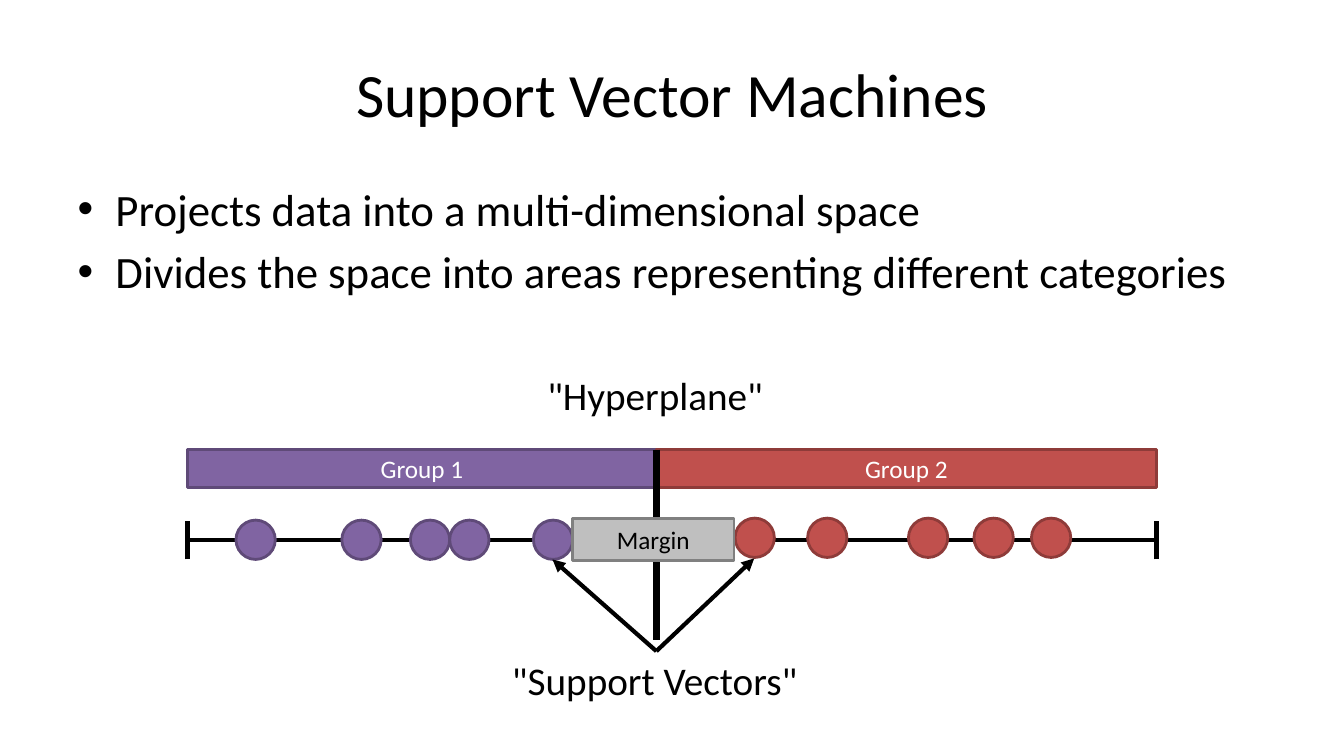
"""Build the Support Vector Machines slide with its one-dimensional diagram."""
from lxml import etree
from pptx import Presentation
from pptx.dml.color import RGBColor
from pptx.enum.shapes import MSO_CONNECTOR, MSO_SHAPE
from pptx.enum.text import MSO_ANCHOR, MSO_AUTO_SIZE, PP_ALIGN
from pptx.oxml.ns import qn
from pptx.util import Inches, Pt

RECTANGLE, OVAL = MSO_SHAPE.RECTANGLE, MSO_SHAPE.OVAL
STRAIGHT = MSO_CONNECTOR.STRAIGHT
CENTER, LEFT = PP_ALIGN.CENTER, PP_ALIGN.LEFT
TOP, MIDDLE = MSO_ANCHOR.TOP, MSO_ANCHOR.MIDDLE
NO_AUTOFIT = MSO_AUTO_SIZE.NONE

BLACK = RGBColor(0x00, 0x00, 0x00)
WHITE = RGBColor(0xFF, 0xFF, 0xFF)
PURPLE = RGBColor(0x80, 0x64, 0xA2)
DARK_PURPLE = RGBColor(0x5F, 0x4A, 0x78)
RED = RGBColor(0xC0, 0x50, 0x4D)
DARK_RED = RGBColor(0x8E, 0x3B, 0x39)
LIGHT_GRAY = RGBColor(0xBF, 0xBF, 0xBF)
GRAY = RGBColor(0x80, 0x80, 0x80)

AXIS_LEFT, HYPERPLANE_X, AXIS_RIGHT = 1.86, 6.51, 11.47
BAR_TOP, BAR_HEIGHT = 4.46, 0.38
AXIS_Y, TICK = 5.36, 0.19
DOT = 0.39
VECTORS_Y = 6.46

deck = Presentation()
deck.slide_width, deck.slide_height = Inches(13.33), Inches(7.5)
page = deck.slides.add_slide(deck.slide_layouts[1])


def add_block(kind, bounds, fill, outline, label="", ink=WHITE):
    block = page.shapes.add_shape(kind, *map(Inches, bounds))
    block.shadow.inherit = False
    block.fill.solid()
    block.fill.fore_color.rgb = fill
    block.line.color.rgb = outline
    block.line.width = Pt(2)
    if label:
        block.text_frame.vertical_anchor = MIDDLE
        para = block.text_frame.paragraphs[0]
        para.text, para.alignment = label, CENTER
        para.font.name, para.font.size = "Calibri", Pt(18)
        para.font.color.rgb = ink


def add_line(start, end, width=3, arrow=False):
    line = page.shapes.add_connector(STRAIGHT, *map(Inches, start + end))
    line.line.color.rgb = BLACK
    line.line.width = Pt(width)
    if arrow:
        etree.SubElement(line.line._get_or_add_ln(), qn("a:tailEnd"), type="triangle")
    etree.SubElement(line._element.spPr, qn("a:effectLst"))


placeholders = [
    (page.shapes.title, (0.67, 0.3, 12, 1.25), ["Support Vector Machines"], 44, CENTER, MIDDLE),
    (page.placeholders[1], (0.67, 1.75, 12, 1.53),
     ["Projects data into a multi-dimensional space",
      "Divides the space into areas representing different categories"], 32, LEFT, TOP),
]
for box, bounds, lines, size, alignment, anchor in placeholders:
    for name, value in zip(("left", "top", "width", "height"), bounds):
        setattr(box, name, Inches(value))
    box.text_frame.text = "\n".join(lines)
    box.text_frame.auto_size = NO_AUTOFIT
    box.text_frame.vertical_anchor = anchor
    for para in box.text_frame.paragraphs:
        para.alignment = alignment
        para.font.name, para.font.size = "Calibri", Pt(size)
        para.font.color.rgb = BLACK

groups = [
    ("Group 1", AXIS_LEFT, HYPERPLANE_X, PURPLE, DARK_PURPLE, 5.16,
     [5.29, 2.34, 3.39, 4.07, 4.46]),
    ("Group 2", HYPERPLANE_X, AXIS_RIGHT, RED, DARK_RED, 5.14,
     [7.29, 8.01, 9.01, 9.66, 10.23]),
]
add_line((AXIS_LEFT, AXIS_Y), (AXIS_RIGHT, AXIS_Y))
for tick_x in (AXIS_LEFT, AXIS_RIGHT):
    add_line((tick_x, AXIS_Y + TICK), (tick_x, AXIS_Y - TICK))
for label, start, end, fill, outline, dot_top, dots in groups:
    add_block(RECTANGLE, (start, BAR_TOP, end - start, BAR_HEIGHT), fill, outline, label)
    for dot_left in dots:
        add_block(OVAL, (dot_left, dot_top, DOT, DOT), fill, outline)

add_line((HYPERPLANE_X, BAR_TOP), (HYPERPLANE_X, 6.35), 4.5)
add_block(RECTANGLE, (5.68, 5.14, 1.6, 0.42), LIGHT_GRAY, GRAY, "Margin", BLACK)
for target in ((7.48, 5.54), (5.48, 5.55)):
    add_line((HYPERPLANE_X, VECTORS_Y), target, arrow=True)

captions = {
    '"Hyperplane"': (5.33, 3.63, 2.36, 0.57),
    '"Support Vectors"': (4.98, VECTORS_Y, 3.07, 0.57),
}
for caption, bounds in captions.items():
    box = page.shapes.add_textbox(*map(Inches, bounds))
    box.text_frame.word_wrap = False
    para = box.text_frame.paragraphs[0]
    para.text = caption
    para.font.name, para.font.size = "Calibri", Pt(28)
    para.font.color.rgb = BLACK

deck.save("out.pptx")
